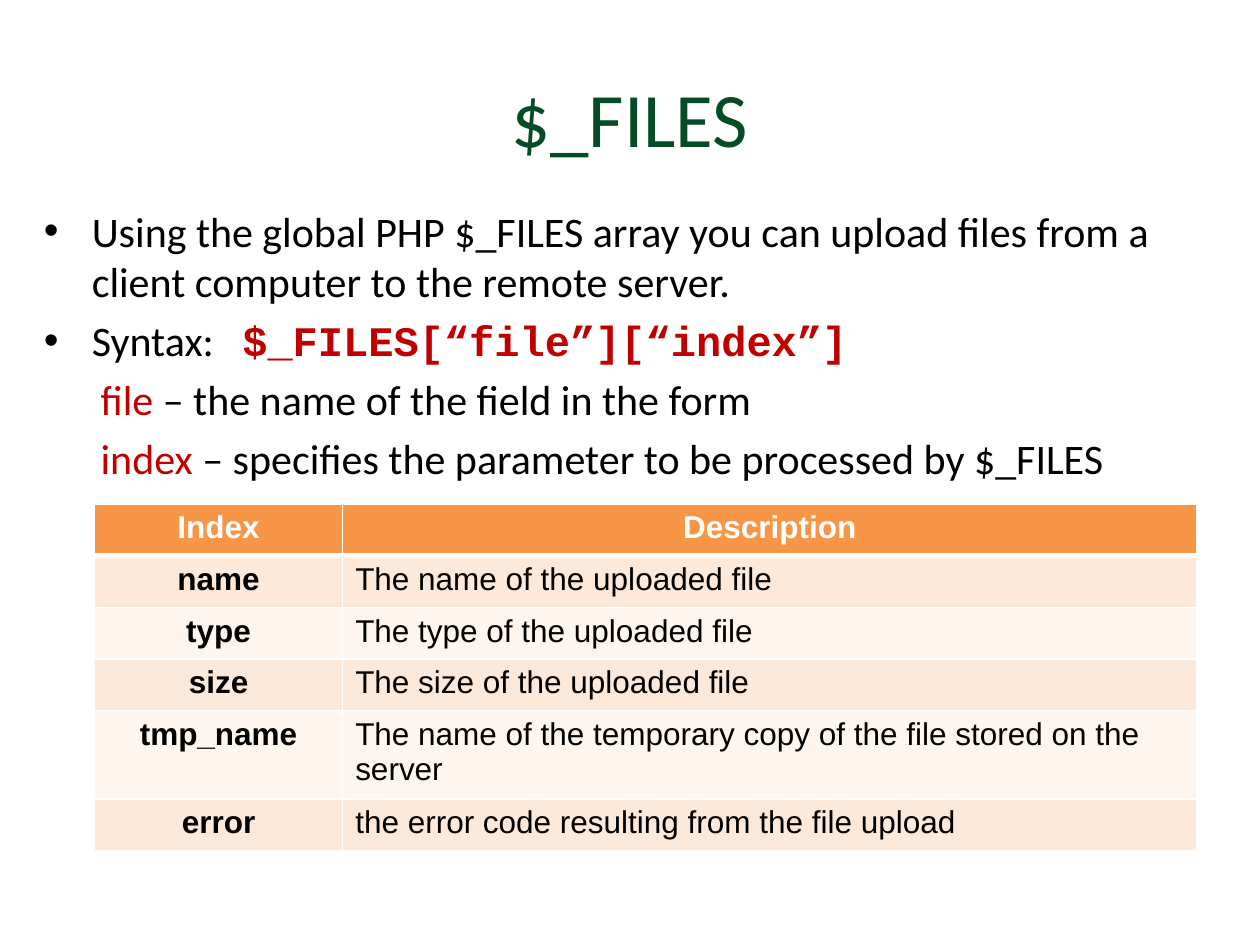
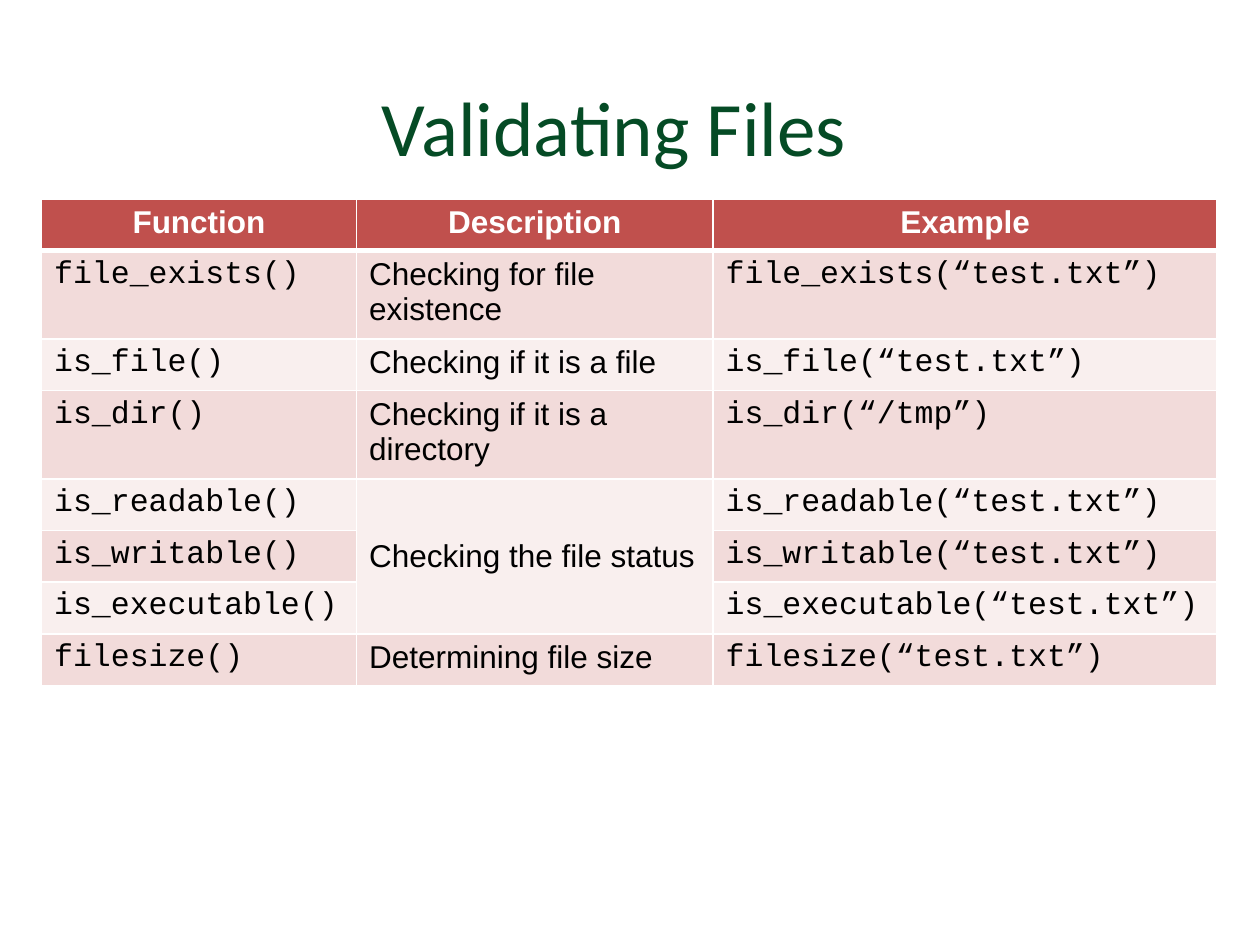
"""Two slides on PHP file uploads and file validation."""
from lxml import etree
from pptx import Presentation
from pptx.dml.color import RGBColor
from pptx.enum.text import MSO_ANCHOR, PP_ALIGN
from pptx.oxml.ns import qn
from pptx.util import Inches, Pt

CENTER, LEFT = PP_ALIGN.CENTER, PP_ALIGN.LEFT
TOP, MIDDLE = MSO_ANCHOR.TOP, MSO_ANCHOR.MIDDLE
HEAD_FONT, CELL_FONT, CODE_FONT = "Calibri", "Arial", "Courier New"
GREEN, RED, BLACK, WHITE = "054B25", "C00000", "000000", "FFFFFF"
TITLE_SIZE, BODY_SIZE, CELL_SIZE = 44, 24, 18
ROW_HEIGHT = 0.41
BULLET_INDENT, PLAIN_INDENT = 0.38, 0.45
SYNTAX_GAP = 10.8

BODY = [
    (True, [("Using the global PHP $_FILES array you can upload files from a "
             "client computer to the remote server.", {})]),
    (True, [("Syntax:", {}),
            (" ", {"spacing": SYNTAX_GAP}),
            ("$_FILES[“file”][“index”]",
             {"font": CODE_FONT, "color": RED, "bold": True})]),
    (False, [("file ", {"color": RED}),
             ("– the name of the field in the form", {})]),
    (False, [("index ", {"color": RED}),
             ("– specifies the parameter to be processed by $_FILES", {})]),
]

KEY = {"align": CENTER, "bold": True}
PLAIN = {}
CODE = {"font": CODE_FONT}

SLIDES = [
    {
        "title": "$_FILES",
        "title_at": (0.5, 0.3, 9, 1.25),
        "body": BODY,
        "table": {
            "at": (0.75, 4),
            "widths": (1.97, 6.78),
            "styles": (KEY, PLAIN),
            "fills": ("F79646", "FDE9D9", "FEF5EE"),
            "rows": [
                ("Index", "Description"),
                ("name", "The name of the uploaded file"),
                ("type", "The type of the uploaded file"),
                ("size", "The size of the uploaded file"),
                ("tmp_name", "The name of the temporary copy of the file "
                             "stored on the server"),
                ("error", "the error code resulting from the file upload"),
            ],
        },
    },
    {
        "title": "Validating Files",
        "title_at": (0.25, 0.58, 9.25, 0.83),
        "body": [],
        "table": {
            "at": (0.33, 1.58),
            "widths": (2.5, 2.83, 4),
            "styles": (CODE, PLAIN, CODE),
            "fills": ("C0504D", "F2DBDA", "F9EFEE"),
            "rows": [
                ("Function", "Description", "Example"),
                ("file_exists()", "Checking for file existence",
                 "file_exists(“test.txt”)"),
                ("is_file()", "Checking if it is a file",
                 "is_file(“test.txt”)"),
                ("is_dir()", "Checking if it is a directory",
                 "is_dir(“/tmp”)"),
                ("is_readable()", "Checking the file status",
                 "is_readable(“test.txt”)"),
                ("is_writable()", None, "is_writable(“test.txt”)"),
                ("is_executable()", None, "is_executable(“test.txt”)"),
                ("filesize()", "Determining file size",
                 "filesize(“test.txt”)"),
            ],
        },
    },
]


def rgb(color):
    return RGBColor.from_string(color)


def add_span(para, text, size, font=HEAD_FONT, color=BLACK, bold=False,
             spacing=0):
    span = para.add_run()
    span.text = text
    span.font.size = Pt(size)
    span.font.name = font
    span.font.color.rgb = rgb(color)
    span.font.bold = bold
    if spacing:
        span.font._element.set("spc", str(round(spacing * 100)))


def add_text_box(page, at, anchor):
    box = page.shapes.add_textbox(*map(Inches, at))
    box.text_frame.word_wrap = True
    box.text_frame.vertical_anchor = anchor
    return box.text_frame


def add_title(page, text, at):
    para = add_text_box(page, at, MIDDLE).paragraphs[0]
    para.alignment = CENTER
    add_span(para, text, TITLE_SIZE, color=GREEN)


def set_indent(para, bulleted):
    props = para._p.get_or_add_pPr()
    indent = BULLET_INDENT if bulleted else PLAIN_INDENT
    props.set("marL", str(Inches(indent)))
    props.set("indent", str(-Inches(indent) if bulleted else 0))
    if bulleted:
        etree.SubElement(props, qn("a:buFont"), typeface=CELL_FONT)
        etree.SubElement(props, qn("a:buChar"), char="•")
    else:
        etree.SubElement(props, qn("a:buNone"))


def add_body(page, lines):
    frame = add_text_box(page, (0.25, 1.58, 9.25, 2.42), TOP)
    for index, (bulleted, spans) in enumerate(lines):
        para = frame.add_paragraph() if index else frame.paragraphs[0]
        if index:
            para.space_before = Pt(4.8)
        set_indent(para, bulleted)
        for text, style in spans:
            add_span(para, text, BODY_SIZE, **style)


def set_borders(cell, top, bottom):
    props = cell._tc.get_or_add_tcPr()
    sides = (("a:lnL", 1), ("a:lnR", 1), ("a:lnT", top), ("a:lnB", bottom))
    for index, (side, width) in enumerate(sides):
        line = etree.Element(qn(side), w=str(Pt(width)))
        fill = etree.SubElement(line, qn("a:solidFill"))
        etree.SubElement(fill, qn("a:srgbClr"), val=WHITE)
        props.insert(index, line)


def fill_cell(cell, row, text, style, fills):
    cell.fill.solid()
    cell.fill.fore_color.rgb = rgb(fills[2 - row % 2 if row else 0])
    set_borders(cell, 3 if row == 1 else 1, 1 if row else 3)
    if text is None:
        return
    if row == 0:
        style = {"align": CENTER, "color": WHITE, "bold": True}
    span_style = {"font": CELL_FONT, **style}
    para = cell.text_frame.paragraphs[0]
    para.alignment = span_style.pop("align", LEFT)
    add_span(para, text, CELL_SIZE, **span_style)


def merge_down(grid, rows):
    for col in range(len(rows[0])):
        first = 0
        for row, texts in enumerate(rows):
            if texts[col] is not None:
                first = row
            elif row + 1 == len(rows) or rows[row + 1][col] is not None:
                grid.cell(first, col).merge(grid.cell(row, col))
                grid.cell(first, col).vertical_anchor = MIDDLE


def add_grid(page, at, widths, styles, fills, rows):
    size = (sum(widths), ROW_HEIGHT * len(rows))
    grid = page.shapes.add_table(len(rows), len(widths),
                                 *map(Inches, at + size)).table
    for column, width in zip(grid.columns, widths):
        column.width = Inches(width)
    for row, texts in enumerate(rows):
        grid.rows[row].height = Inches(ROW_HEIGHT)
        for col, (text, style) in enumerate(zip(texts, styles)):
            fill_cell(grid.cell(row, col), row, text, style, fills)
    merge_down(grid, rows)


def main():
    deck = Presentation()
    deck.slide_width, deck.slide_height = Inches(10), Inches(7.5)
    for content in SLIDES:
        page = deck.slides.add_slide(deck.slide_layouts[6])
        add_title(page, content["title"], content["title_at"])
        if content["body"]:
            add_body(page, content["body"])
        add_grid(page, **content["table"])
    deck.save("out.pptx")


if __name__ == "__main__":
    main()
